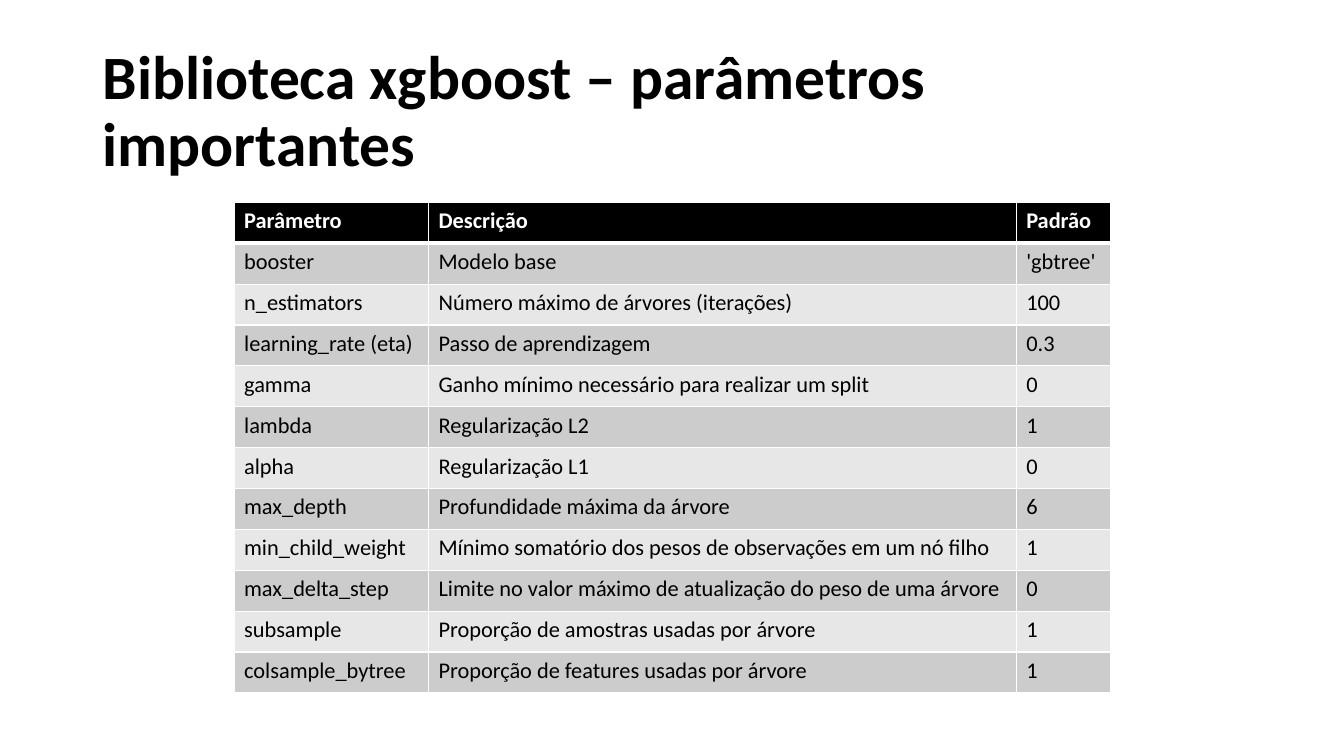
from lxml.etree import SubElement
from pptx import Presentation
from pptx.dml.color import RGBColor
from pptx.enum.text import MSO_ANCHOR as Anchor, PP_ALIGN as Align
from pptx.oxml.ns import qn
from pptx.util import Cm, Pt

COLORS = {
    "ink": "000000",
    "paper": "FFFFFF",
    "band_dark": "CCCCCC",
    "band_light": "E7E7E7",
}

HEADER = ("Parâmetro", "Descrição", "Padrão")
PARAMETERS = [
    ("booster", "Modelo base", "'gbtree'"),
    ("n_estimators", "Número máximo de árvores (iterações)", "100"),
    ("learning_rate (eta)", "Passo de aprendizagem", "0.3"),
    ("gamma", "Ganho mínimo necessário para realizar um split", "0"),
    ("lambda", "Regularização L2", "1"),
    ("alpha", "Regularização L1", "0"),
    ("max_depth", "Profundidade máxima da árvore", "6"),
    ("min_child_weight", "Mínimo somatório dos pesos de observações em um nó filho", "1"),
    ("max_delta_step", "Limite no valor máximo de atualização do peso de uma árvore", "0"),
    ("subsample", "Proporção de amostras usadas por árvore", "1"),
    ("colsample_bytree", "Proporção de features usadas por árvore", "1"),
]


class SlideBuilder:
    """Holds the text style and the current slide."""

    font = "Calibri"
    title_size = 44
    cell_size = 16

    def __init__(self, slide):
        self.slide = slide

    def add_span(self, para, text, size, color, bold=False):
        span = para.add_run()
        span.text = text
        span.font.name = self.font
        span.font.size = Pt(size)
        span.font.bold = bold
        span.font.color.rgb = RGBColor.from_string(COLORS[color])

    def add_title(self, text, left, top, width, height):
        box = self.slide.shapes.title
        box.left, box.top, box.width, box.height = left, top, width, height
        frame = box.text_frame
        frame.word_wrap = True
        frame.vertical_anchor = Anchor.MIDDLE
        para = frame.paragraphs[0]
        para.alignment = Align.LEFT
        para.line_spacing = 0.9
        self.add_span(para, text, self.title_size, "ink", bold=True)

    def add_borders(self, cell, widths):
        properties = cell._tc.get_or_add_tcPr()
        for side, width in widths.items():
            line = SubElement(properties, qn(f"a:ln{side}"), w=str(Pt(width)))
            fill = SubElement(line, qn("a:solidFill"))
            SubElement(fill, qn("a:srgbClr"), val=COLORS["paper"])

    def add_cell(self, cell, text, row):
        is_header = row == 0
        # Thick rule between the header and the first parameter
        self.add_borders(cell, {"L": 1, "R": 1, "T": 3 if row == 1 else 1,
                                "B": 3 if is_header else 1})
        band = "ink" if is_header else "band_dark" if row % 2 else "band_light"
        cell.fill.solid()
        cell.fill.fore_color.rgb = RGBColor.from_string(COLORS[band])
        self.add_span(cell.text_frame.paragraphs[0], text, self.cell_size,
                      "paper" if is_header else "ink", bold=is_header)

    def add_table(self, rows, left, top, column_widths, row_height):
        table = self.slide.shapes.add_table(
            len(rows), len(column_widths), left, top,
            sum(column_widths), row_height * len(rows)).table
        for column, width in zip(table.columns, column_widths):
            column.width = width
        for row, texts in enumerate(rows):
            table.rows[row].height = row_height
            for column, text in enumerate(texts):
                self.add_cell(table.cell(row, column), text, row)


def main():
    deck = Presentation()
    deck.slide_width, deck.slide_height = Cm(33.87), Cm(19.05)
    page = SlideBuilder(deck.slides.add_slide(deck.slide_layouts.get_by_name("Title Only")))

    # Title
    page.add_title("Biblioteca xgboost – parâmetros importantes",
                   Cm(2.33), Cm(1.01), Cm(29.21), Cm(3.68))

    # Parameter table
    page.add_table([HEADER, *PARAMETERS], Cm(5.9), Cm(5.1),
                   [Cm(4.9), Cm(14.81), Cm(2.39)], Cm(1.03))

    deck.save("out.pptx")


if __name__ == "__main__":
    main()
